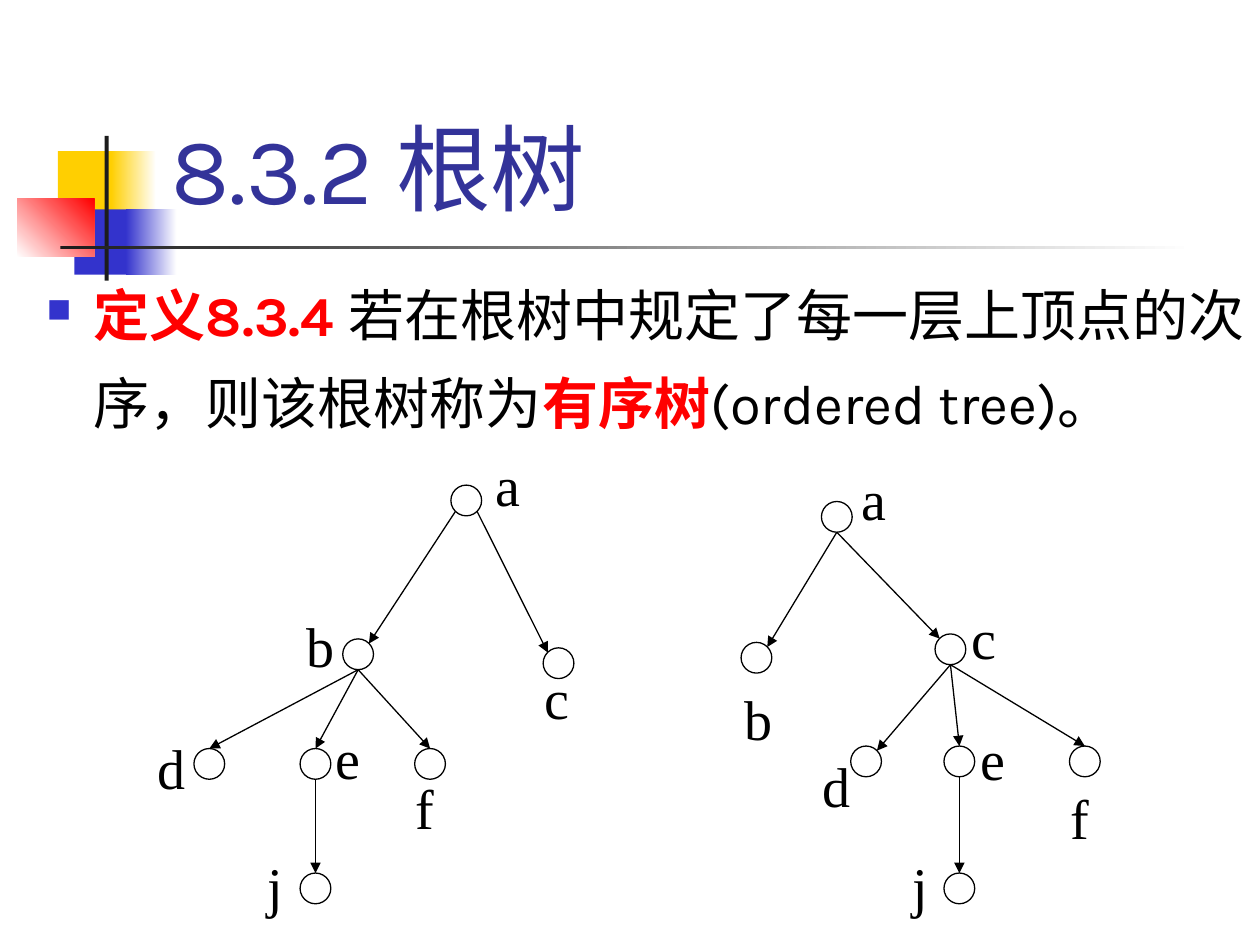
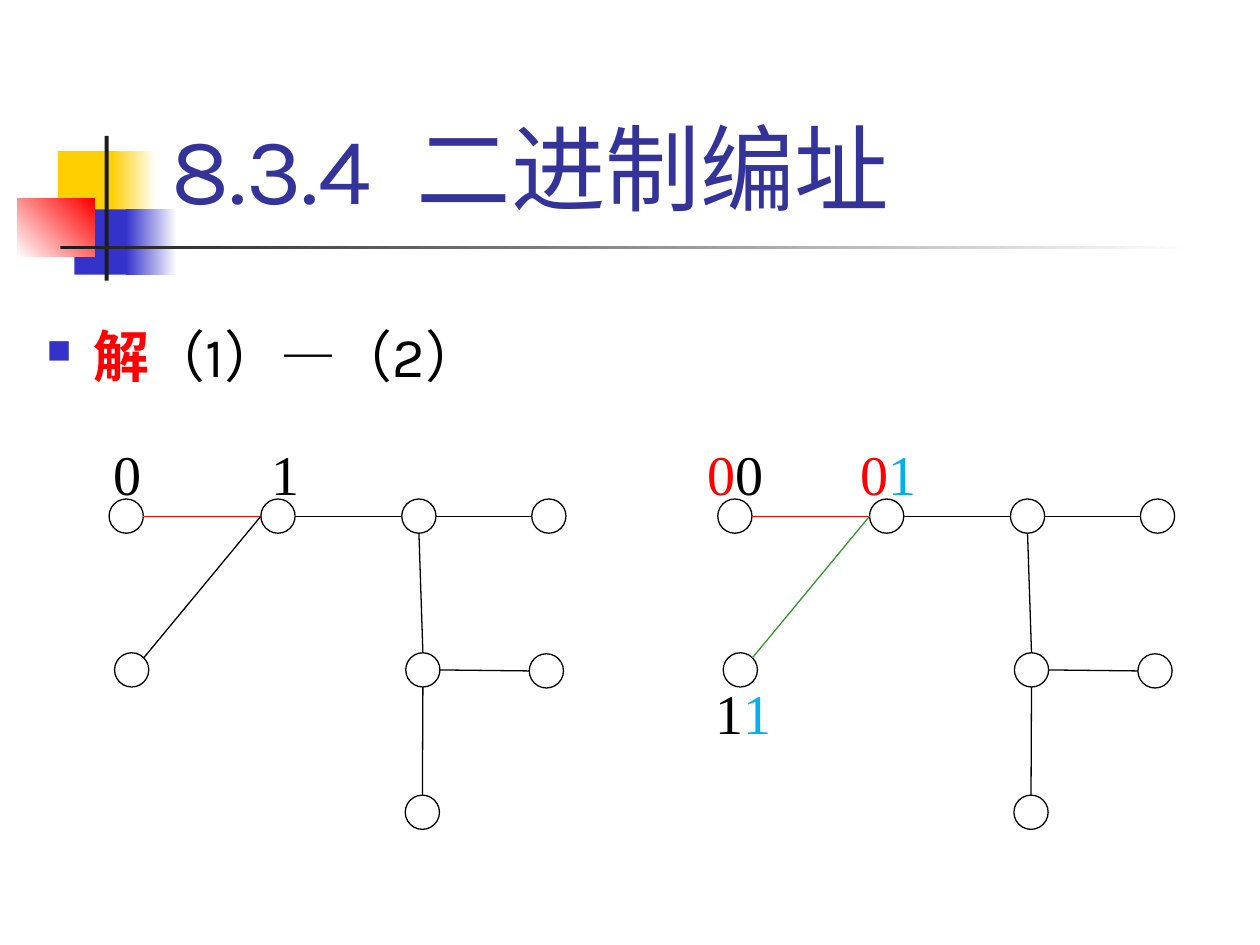
"""Build two slides on rooted trees and binary addressing."""
from lxml import etree
from pptx import Presentation
from pptx import util as u
from pptx.dml.color import RGBColor
from pptx.enum import shapes, text
from pptx.oxml.ns import qn

WHITE = RGBColor(255, 255, 255)
BLACK = RGBColor(0, 0, 0)
RED = RGBColor(255, 0, 0)
GOLD = RGBColor(0xFF, 0xCF, 0x01)
BLUE = RGBColor(0x33, 0x33, 0xCC)
TITLE_BLUE = RGBColor(0x33, 0x33, 0x99)
SKY = RGBColor(0x00, 0xB0, 0xF0)
GREEN = RGBColor(0x33, 0x99, 0x33)
CHARCOAL = RGBColor(0x1C, 0x1C, 0x1C)
SANS, SERIF = "Karla", "Times New Roman"
SITES = {"n": (0.5, 0), "s": (0.5, 1), "w": (0, 0.5), "e": (1, 0.5),
         "nw": (0.15, 0.15), "ne": (0.85, 0.15),
         "sw": (0.15, 0.85), "se": (0.85, 0.85)}


def write(para, spans, size, font):
    """Add (wording, colour, bold) spans to a left-aligned paragraph."""
    para.alignment = text.PP_ALIGN.LEFT
    for wording, colour, bold in spans:
        span = para.add_run()
        span.text = wording
        span.font.name = font
        span.font.size = u.Pt(size)
        span.font.bold = bold
        span.font.color.rgb = colour


def add_box(slide, kind, left, top, width, height, colour, outline=None):
    """Add a filled shape measured in centimetres."""
    box = slide.shapes.add_shape(kind, u.Cm(left), u.Cm(top), u.Cm(width), u.Cm(height))
    box.shadow.inherit = False
    box.fill.solid()
    box.fill.fore_color.rgb = colour
    if outline is None:
        box.line.fill.background()
    else:
        box.line.color.rgb = outline
        box.line.width = u.Pt(0.75)
    return box


BANDS = [
    (1.17, 3.05, 1.22, 1.32, GOLD, None, 0),
    (2.24, 3.05, 0.91, 1.32, GOLD, WHITE, 0),
    (1.5, 4.22, 1.17, 1.32, BLUE, None, 0),
    (2.54, 4.22, 1.02, 1.32, BLUE, WHITE, 0),
    (0.35, 4.01, 1.55, 1.17, WHITE, RED, 45),
    (2.11, 2.74, 0.08, 2.92, CHARCOAL, None, 0),
    (1.22, 4.95, 22.86, 0.08, CHARCOAL, WHITE, 0),
]

LEFT_TREE = {
    "labels": [([("d", BLACK, False)], 2.9, 14.63), ([("j", BLACK, False)], 5.11, 17.02),
               ([("e", BLACK, False)], 6.48, 14.43), ([("f", BLACK, False)], 8.1, 15.44),
               ([("c", BLACK, False)], 10.69, 13.23), ([("b", BLACK, False)], 5.89, 12.17),
               ([("a", BLACK, False)], 9.7, 8.94)],
    "nodes": {"a": (9.09, 9.78), "b": (6.91, 12.88), "c": (10.95, 13.06),
              "d": (3.91, 15.09), "e": (6.05, 15.09), "f": (8.36, 15.09), "j": (6.05, 17.6)},
    "edges": [("a", "sw", "b", "ne", BLACK), ("a", "se", "c", "nw", BLACK),
              ("b", "s", "d", "n", BLACK), ("b", "s", "e", "n", BLACK),
              ("b", "s", "f", "n", BLACK), ("e", "s", "j", "n", BLACK)],
}
RIGHT_TREE = {
    "labels": [([("j", BLACK, False)], 18.11, 17.02), ([("d", BLACK, False)], 16.31, 15.01),
               ([("c", BLACK, False)], 19.3, 12.01), ([("f", BLACK, False)], 21.31, 15.65),
               ([("e", BLACK, False)], 19.48, 14.45), ([("b", BLACK, False)], 14.73, 13.64),
               ([("a", BLACK, False)], 17.09, 9.22)],
    "nodes": {"a": (16.56, 10.11), "b": (14.94, 12.95), "c": (18.85, 12.78),
              "d": (17.15, 15.04), "e": (19.03, 15.04), "f": (21.56, 15.04), "j": (19.03, 17.6)},
    "edges": [("a", "s", "b", "ne", BLACK), ("a", "s", "c", "nw", BLACK),
              ("c", "s", "d", "ne", BLACK), ("c", "s", "e", "n", BLACK),
              ("c", "s", "f", "n", BLACK), ("e", "s", "j", "n", BLACK)],
}

ADDRESS_NODES = {"top1": (2.2, 10.06), "top2": (5.26, 10.06), "top3": (8.1, 10.06),
                 "top4": (10.72, 10.06), "middle1": (2.31, 13.16), "middle3": (8.18, 13.16),
                 "middle4": (10.67, 13.18), "bottom3": (8.17, 16.03)}
ADDRESS_LABELS = [
    [([("0", BLACK, False)], 2.03, 8.74), ([("1", BLACK, False)], 5.23, 8.74)],
    [([("1", BLACK, False), ("1", SKY, False)], 14.17, 13.54),
     ([("0", RED, False), ("0", BLACK, False)], 14.02, 8.74),
     ([("0", RED, False), ("1", SKY, False)], 17.09, 8.74)],
]
address_graphs = []
for labels, shift, branch_colour in zip(ADDRESS_LABELS, (0, 12.27), (BLACK, GREEN)):
    address_graphs.append({
        "labels": labels,
        "nodes": {name: (x + shift, y) for name, (x, y) in ADDRESS_NODES.items()},
        "edges": [("top1", "e", "top2", "w", RED), ("top2", "e", "top3", "w", BLACK),
                  ("top3", "e", "top4", "w", BLACK),
                  ("top2", "w", "middle1", "ne", branch_colour),
                  ("top3", "s", "middle3", "n", BLACK),
                  ("middle3", "s", "bottom3", "n", BLACK),
                  ("middle3", "e", "middle4", "w", BLACK)],
    })

PAGES = [
    {"title": "8.3.2 根树", "body_top": 5.13, "spacing": 1.3,
     "body": [("定义8.3.4 ", RED, True),
              ("若在根树中规定了每一层上顶点的次序，则该根树称为", BLACK, False),
              ("有序树", RED, True), ("(ordered tree)。", BLACK, False)],
     "graphs": [LEFT_TREE, RIGHT_TREE], "arrows": True,
     "node": 0.62, "label": (1.8, 1.78), "inset": (0.28, 0.15)},
    {"title": "8.3.4  二进制编址", "body_top": 5, "spacing": 2.0,
     "body": [("解", RED, True), ("（1）—（2）", BLACK, False)],
     "graphs": address_graphs, "arrows": False,
     "node": 0.69, "label": (2.2, 1.93), "inset": (0.25, 0.13)},
]

deck = Presentation()
deck.slide_width, deck.slide_height = u.Cm(25.4), u.Cm(19.05)
slides = [deck.slides.add_slide(deck.slide_layouts[5]) for page in PAGES]

for number, (left, top, width, height, start, end, angle) in enumerate(BANDS, 101):
    band = add_box(slides[0], shapes.MSO_SHAPE.RECTANGLE, left, top, width, height, start)
    if end is not None:
        band.fill.gradient()
        band.fill.gradient_angle = angle
        for stop, colour in zip(band.fill.gradient_stops, (start, end)):
            stop.color.rgb = colour
    band.element.xpath("./p:nvSpPr/p:cNvPr")[0].set("id", str(number))
    deck.slide_master.shapes.element.append(band.element)

for slide, page in zip(slides, PAGES):
    title = slide.shapes.title
    title.left, title.top = u.Cm(3.2), u.Cm(0.58)
    title.width, title.height = u.Cm(21.64), u.Cm(4.06)
    title.text_frame.auto_size = text.MSO_AUTO_SIZE.NONE
    title.text_frame.vertical_anchor = text.MSO_ANCHOR.BOTTOM
    write(title.text_frame.paragraphs[0], [(page["title"], TITLE_BLUE, False)], 54, SANS)

    body = slide.shapes.add_textbox(u.Cm(0.69), u.Cm(page["body_top"]),
                                    u.Cm(24.71), u.Cm(19.05 - page["body_top"]))
    body.text_frame.word_wrap = True
    para = body.text_frame.paragraphs[0]
    props = para._p.get_or_add_pPr()
    props.set("marL", str(u.Cm(0.95)))
    props.set("indent", str(u.Cm(-0.95)))
    bullet_colour = etree.SubElement(props, qn("a:buClr"))
    etree.SubElement(bullet_colour, qn("a:srgbClr")).set("val", str(BLUE))
    etree.SubElement(props, qn("a:buSzPct")).set("val", "60000")
    etree.SubElement(props, qn("a:buChar")).set("char", "■")
    para.line_spacing = page["spacing"]
    write(para, page["body"], 32, SANS)

    side = page["node"]
    for graph in page["graphs"]:
        for spans, left, top in graph["labels"]:
            label = add_box(slide, shapes.MSO_SHAPE.RECTANGLE, left, top, *page["label"],
                            WHITE, WHITE)
            frame = label.text_frame
            frame.vertical_anchor = text.MSO_ANCHOR.TOP
            frame.margin_left = frame.margin_right = u.Cm(page["inset"][0])
            frame.margin_top = frame.margin_bottom = u.Cm(page["inset"][1])
            write(frame.paragraphs[0], spans, 32, SERIF)

    for graph in page["graphs"]:
        for left, top in graph["nodes"].values():
            add_box(slide, shapes.MSO_SHAPE.OVAL, left, top, side, side, WHITE, BLACK)
        for parent, parent_site, child, child_site, colour in graph["edges"]:
            ends = []
            for name, site in ((parent, parent_site), (child, child_site)):
                for start, share in zip(graph["nodes"][name], SITES[site]):
                    ends.append(u.Cm(start + share * side))
            edge = slide.shapes.add_connector(shapes.MSO_CONNECTOR.STRAIGHT, *ends)
            edge.line.color.rgb = colour
            edge.line.width = u.Pt(0.75)
            edge_props = edge.element.spPr
            if page["arrows"]:
                line = edge_props.find(qn("a:ln"))
                etree.SubElement(line, qn("a:tailEnd")).set("type", "triangle")
            etree.SubElement(edge_props, qn("a:effectLst"))

deck.save("out.pptx")
